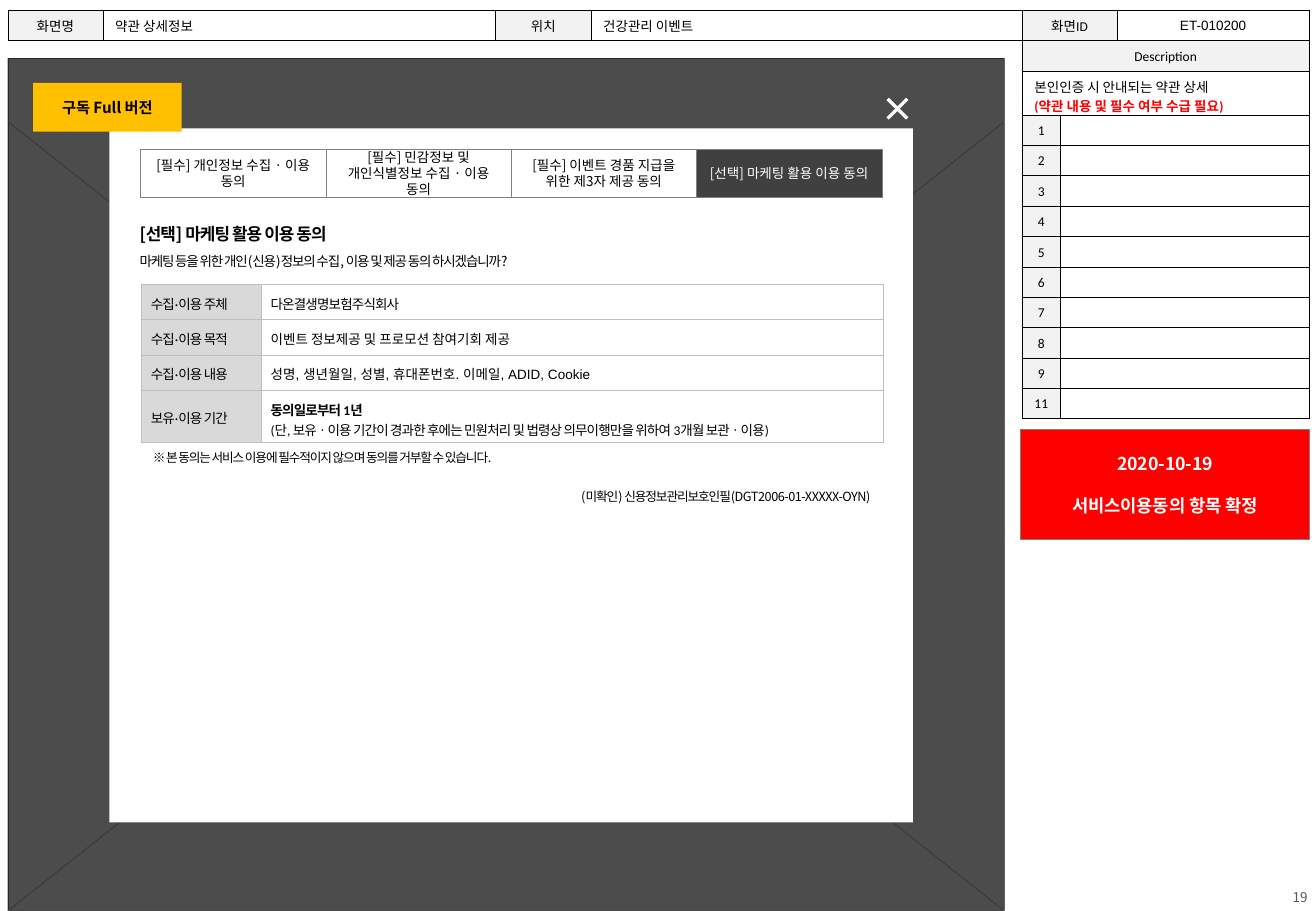
from dataclasses import dataclass

from lxml import etree
from pptx import Presentation
from pptx.dml.color import RGBColor
from pptx.enum.shapes import MSO_CONNECTOR, MSO_SHAPE
from pptx.enum.text import MSO_ANCHOR, PP_ALIGN
from pptx.oxml.ns import qn
from pptx.util import Pt

RECT, PLUS = MSO_SHAPE.RECTANGLE, MSO_SHAPE.MATH_PLUS
STRAIGHT = MSO_CONNECTOR.STRAIGHT
LEFT, MID, RIGHT = PP_ALIGN.LEFT, PP_ALIGN.CENTER, PP_ALIGN.RIGHT
TOP, CENTER = MSO_ANCHOR.TOP, MSO_ANCHOR.MIDDLE
NOTO, CALIBRI, ARIAL = "Noto Sans CJK KR", "Calibri", "Arial"
BLACK, WHITE, RED = "000000", "FFFFFF", "FF0000"
GRAY, PALE, SILVER = "808080", "F2F2F2", "BFBFBF"


@dataclass
class Run:
    text: str
    size: float = 8
    font: str = NOTO
    color: str = BLACK
    bold: bool = False
    track: float = 0


@dataclass
class Para:
    runs: list[Run]
    align: PP_ALIGN = LEFT
    lead: float = 1
    before: float = 0


@dataclass
class Box:
    left: float
    top: float
    width: float
    height: float

    def lengths(self) -> list[Pt]:
        return [Pt(v) for v in (self.left, self.top, self.width, self.height)]


@dataclass
class Cell:
    paras: list[Para]
    fill: str = WHITE
    pads: tuple = (7.2, 3.5, 7.2, 2.5)
    span: int = 1


def rgb(code: str) -> RGBColor:
    return RGBColor.from_string(code)


def apply(target: object, values: dict) -> None:
    for key, value in values.items():
        setattr(target, key, value)


def write(frame, paras: list[Para]) -> None:
    for i, para in enumerate(paras):
        line = frame.add_paragraph() if i else frame.paragraphs[0]
        apply(line, {"alignment": para.align, "line_spacing": para.lead,
                     "space_before": Pt(para.before)})
        for run in para.runs:
            piece = line.add_run()
            piece.text = run.text
            piece.font.color.rgb = rgb(run.color)
            apply(piece.font, {"size": Pt(run.size), "bold": run.bold, "name": run.font})
            props = piece.font._element
            props.set("spc", str(round(run.track * 100)))
            etree.SubElement(props, qn("a:ea"), typeface=NOTO)
        if not para.runs:
            etree.SubElement(line._p, qn("a:endParaRPr"), sz="800")


def block(box: Box, fill: str = "", line: str = "", paras: list[Para] = (),
          kind: MSO_SHAPE = RECT):
    shape = shapes.add_shape(kind, *box.lengths())
    shape.shadow.inherit = False
    if fill:
        shape.fill.solid()
        shape.fill.fore_color.rgb = rgb(fill)
    else:
        shape.fill.background()
    if line:
        shape.line.color.rgb = rgb(line)
        shape.line.width = Pt(0.25)
    else:
        shape.line.fill.background()
    apply(shape.text_frame, {"word_wrap": True, "vertical_anchor": CENTER})
    write(shape.text_frame, paras)
    return shape


def label(box: Box, para: Para, anchor: MSO_ANCHOR = TOP) -> None:
    frame = shapes.add_textbox(*box.lengths()).text_frame
    apply(frame, {"word_wrap": True, "vertical_anchor": anchor})
    write(frame, [para])


def edge(cell, color: str) -> None:
    props = cell._tc.get_or_add_tcPr()
    for i, side in enumerate(("lnL", "lnR", "lnT", "lnB")):
        line = etree.Element(qn(f"a:{side}"), w="3175")
        solid = etree.SubElement(line, qn("a:solidFill"))
        etree.SubElement(solid, qn("a:srgbClr"), val=color)
        props.insert(i, line)


def grid(left: float, top: float, cols: list[float], rows: list[float],
         cells: list[list[Cell]], color: str) -> None:
    box = Box(left, top, sum(cols), sum(rows))
    table = shapes.add_table(len(rows), len(cols), *box.lengths()).table
    apply(table, {"first_row": False, "horz_banding": False})
    for col, width in zip(table.columns, cols):
        col.width = Pt(width)
    for r, (height, items) in enumerate(zip(rows, cells)):
        table.rows[r].height = Pt(height)
        for c, item in enumerate(items):
            cell = table.cell(r, c)
            if item.span > 1:
                cell.merge(table.cell(r, c + item.span - 1))
            names = ("margin_left", "margin_top", "margin_right", "margin_bottom")
            apply(cell, {n: Pt(v) for n, v in zip(names, item.pads)})
            cell.vertical_anchor = CENTER
            cell.fill.solid()
            cell.fill.fore_color.rgb = rgb(item.fill)
            write(cell.text_frame, item.paras)
            edge(cell, color)


def plain(text: str, align: PP_ALIGN = LEFT, **look) -> Para:
    return Para([Run(text, **{"font": CALIBRI, **look})], align)


def head(text: str, span: int = 1) -> Cell:
    return Cell([plain(text, MID)], PALE, span=span)


deck = Presentation()
apply(deck, {"slide_width": Pt(779.76), "slide_height": Pt(540)})
shapes = deck.slides.add_slide(deck.slide_layouts[6]).shapes

# Page number
label(Box(727.2, 523.4, 54.7, 17.3), Para([Run("19", color="595959")], RIGHT), CENTER)

# Screen frame with crossing lines
screen = Box(4.6, 34.4, 590.6, 505.4)
block(screen, WHITE, GRAY)
near, far = screen.left, screen.left + screen.width
for start, end in ((near, far), (far, near)):
    cross = shapes.add_connector(STRAIGHT, Pt(start), Pt(72), Pt(end), Pt(540))
    cross.line.color.rgb = rgb(SILVER)
    cross.line.width = Pt(0.5)
    etree.SubElement(cross._element.spPr, qn("a:effectLst"))

# Header table
grid(4.6, 5.8, [56.5, 232.6, 56.5, 255.3, 56.5, 113.8], [18], [[
    head("화면명"), Cell([plain("약관 상세정보")]),
    head("위치"), Cell([plain("건강관리 이벤트")]),
    head("화면ID"), Cell([plain("ET-010200", MID, font=ARIAL)])]], BLACK)

# Dim layer
dim = block(screen, BLACK)
shade = dim._element.spPr.find(".//" + qn("a:srgbClr"))
etree.SubElement(shade, qn("a:alpha"), val="70000")

# Description table
about = [plain("본인인증 시 안내되는 약관 상세"),
         plain("(약관 내용 및 필수 여부 수급 필요)", color=RED, bold=True)]
marks = [*range(1, 10), 11]
grid(605.7, 23.9, [22.6, 147.4], [18, 26.2] + [18] * len(marks),
     [[head("Description", 2)], [Cell(about, pads=(7.2, 3.5, 7.2, 0), span=2)]]
     + [[head(str(n)), Cell([Para([])])] for n in marks], BLACK)

# Popup, close mark and badge
block(Box(64.8, 76.2, 476.2, 411.3), WHITE)
close = block(Box(520.6, 53.3, 22.3, 22.3), WHITE, kind=PLUS)
close.adjustments[0] = 0.088
close.rotation = 45
block(Box(19.6, 49.2, 88.1, 28.8), "FFC000",
      paras=[Para([Run("구독 Full 버전", 9, bold=True)], MID)])

# Tabs
TABS = ["[필수] 개인정보 수집 · 이용 동의",
        "[필수] 민감정보 및 개인식별정보 수집 · 이용 동의",
        "[필수] 이벤트 경품 지급을 위한 제3자 제공 동의",
        "[선택] 마케팅 활용 이용 동의"]
for i, text in enumerate(TABS):
    live = i == len(TABS) - 1
    ink = WHITE if live else BLACK
    tab = block(Box(83.2 + 109.8 * i, 88.4, 110, 28.4), "404040" if live else WHITE,
                GRAY, [Para([Run(text, color=ink)], MID)])
    apply(tab.text_frame, {"margin_top": 0, "margin_bottom": 0})

# Consent heading and question
label(Box(75.6, 128.9, 200, 19.4),
      Para([Run("[선택] 마케팅 활용 이용 동의", 10, bold=True, track=-0.5)]))
label(Box(75.6, 146.2, 442, 25), Para([Run(
    "마케팅 등을 위한 개인(신용)정보의 수집, 이용 및 제공 동의 하시겠습니까?", track=-0.7)]))

# Consent terms
TERMS = [
    ("주체", [plain("다온결생명보험주식회사", track=-0.5)]),
    ("목적", [plain("이벤트 정보제공 및 프로모션 참여기회 제공")]),
    ("내용", [plain("성명, 생년월일, 성별, 휴대폰번호. 이메일, ADID, Cookie", font=ARIAL)]),
    ("기간", [plain("동의일로부터 1년", bold=True, track=-0.5),
            plain("(단, 보유ㆍ이용 기간이 경과한 후에는 민원처리 및 법령상 의무이행만을 "
                  "위하여 3개월 보관ㆍ이용)", track=-0.5)])]
rows = []
for name, paras in TERMS:
    verb = "보유" if name == "기간" else "수집"
    pads = (5.8, 4, 5.8, 2.5)
    low = (5.8, 5, 5.8, 1) if len(paras) > 1 else pads
    title = plain(f"{verb}·이용 {name}", track=-0.5)
    rows.append([Cell([title], "D9D9D9", pads), Cell(paras, pads=low)])
grid(83.6, 168.4, [71, 368.5], [21, 21, 21, 31], rows, SILVER)

# Notes under the terms
label(Box(83.5, 265, 439.2, 17.3), Para([Run(
    "※ 본 동의는 서비스 이용에 필수적이지 않으며 동의를 거부할 수 있습니다.",
    7.5, track=-0.7)], lead=0.8))
label(Box(83.5, 288, 439.2, 17.3), Para([
    Run("(미확인) 신용정보관리보호인필", 7.5, track=-0.7),
    Run("(DGT2006-01-XXXXX-OYN)", 7.5, track=-0.3)], RIGHT, 0.8))

# Change notice
block(Box(604.8, 254.6, 171.2, 65.2), RED, GRAY, [
    Para([Run(text, 10.5, color=WHITE, bold=True)], MID, before=gap)
    for text, gap in (("2020-10-19", 0), ("서비스이용동의 항목 확정", 12))])

deck.save("out.pptx")
